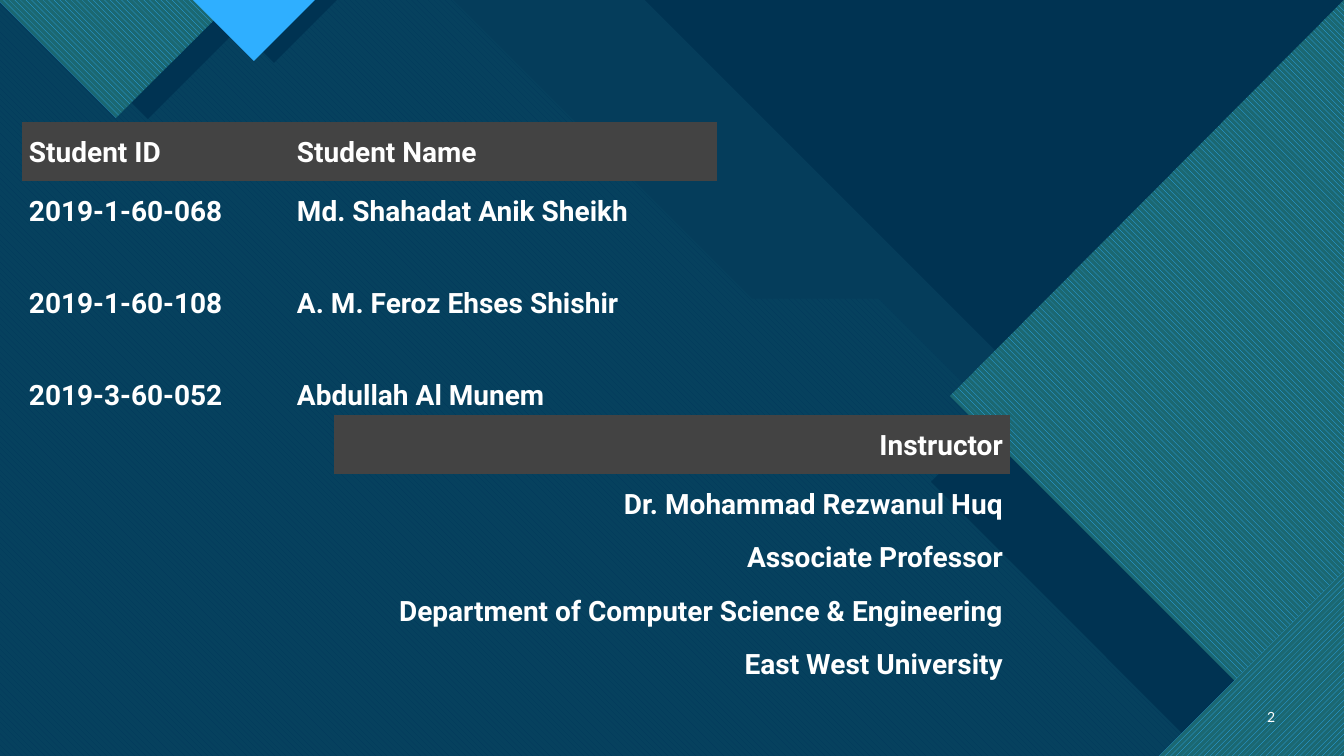
import pptx
import pptx.util
import pptx.dml.color
import pptx.enum.dml
import pptx.enum.text
import pptx.oxml.ns
import lxml.etree

W, H = 1344, 756
EMU_PER_PX = 914400 / 100.8
NAVY, DEEP, TEAL, AQUA, SKY, GRAY, WHITE = (
    "0C4360", "003352", "1B6872", "47C3D3", "2FAFFF", "434343", "FFFFFF")
DOWN = pptx.enum.dml.MSO_PATTERN.WIDE_DOWNWARD_DIAGONAL
UP = pptx.enum.dml.MSO_PATTERN.WIDE_UPWARD_DIAGONAL
LEFT = pptx.enum.text.PP_ALIGN.LEFT
RIGHT = pptx.enum.text.PP_ALIGN.RIGHT
PLAIN_TABLE = "{2D5ABB26-0587-4C30-8999-92F81FD0307C}"
STUDENTS = [
    ["Student ID", "Student Name"],
    ["2019-1-60-068", "Md. Shahadat Anik Sheikh"],
    ["2019-1-60-108", "A. M. Feroz Ehses Shishir"],
    ["2019-3-60-052", "Abdullah Al Munem"],
]
INSTRUCTOR = [
    "Dr. Mohammad Rezwanul Huq",
    "Associate Professor",
    "Department of Computer Science & Engineering",
    "East West University",
]


def px(n):
    return pptx.util.Emu(round(n * EMU_PER_PX))


def rgb(color):
    return pptx.dml.color.RGBColor.from_string(color)


def add_text(p, text, size=20, font="Roboto", color=WHITE, bold=True,
             align=LEFT, spacing=None, before=None):
    p.alignment = align
    p.line_spacing = spacing
    if before is not None:
        p.space_before = pptx.util.Pt(before)
    r = p.add_run()
    r.text = text
    r.font.size = pptx.util.Pt(size)
    r.font.name = font
    r.font.bold = bold
    r.font.color.rgb = rgb(color)


def polygon(s, points, color, back=None, pattern=None, alpha=None):
    builder = s.shapes.build_freeform(*points[0], scale=EMU_PER_PX)
    builder.add_line_segments(points[1:], close=True)
    sp = builder.convert_to_shape()
    sp.shadow.inherit = False
    sp.line.fill.background()
    if pattern is not None:
        sp.fill.patterned()
        sp.fill.pattern = pattern
        sp.fill.fore_color.rgb = rgb(color)
        sp.fill.back_color.rgb = rgb(back)
        return
    sp.fill.solid()
    sp.fill.fore_color.rgb = rgb(color)
    if alpha is not None:
        clr = sp.fill._xPr.find(".//" + pptx.oxml.ns.qn("a:srgbClr"))
        lxml.etree.SubElement(clr, pptx.oxml.ns.qn("a:alpha"), val=str(alpha * 1000))


def ridge(s, top, shelf, right, color, **fill):
    drop = 299
    knee = top + drop + shelf
    polygon(s, [(0, 0), (top, 0), (top + drop, drop), (knee, drop),
                (right, drop + right - knee), (right, H), (0, H)], color, **fill)


def pennant(s, left, depth, color, **fill):
    polygon(s, [(left, 0), (left + depth, depth), (left + 2 * depth, 0)], color, **fill)


def backdrop(s):
    s.background.fill.solid()
    s.background.fill.fore_color.rgb = rgb(NAVY)
    ridge(s, 833, 113, W, AQUA, alpha=74)
    ridge(s, 453, 127, 1336, "0065A4", back=AQUA, pattern=DOWN)
    polygon(s, [(645, 0), (W, 0), (W, 699)], DEEP)
    ridge(s, 701, 127, W, DEEP, alpha=90)


def right_diamond(s):
    polygon(s, [(W, 69), (W, H), (1205, H), (931, 482)], DEEP)
    polygon(s, [(W, 0), (W, H), (1310, H), (950, 396)], SKY, back=TEAL, pattern=DOWN)
    polygon(s, [(W, 571), (W, H), (1159, H)], SKY, back=TEAL, pattern=UP)


def top_pennants(s):
    pennant(s, 29, 119, DEEP)
    pennant(s, -2, 118, SKY, back=TEAL, pattern=DOWN)
    pennant(s, 211, 63, DEEP)
    pennant(s, 193, 61, SKY)


def plain_table(s, x, y, cols, rows):
    frame = s.shapes.add_table(len(rows), len(cols), px(x), px(y),
                               px(sum(cols)), px(sum(rows)))
    table = frame.table
    table.first_row = table.horz_banding = False
    table._tbl.tblPr.find(pptx.oxml.ns.qn("a:tableStyleId")).text = PLAIN_TABLE
    for column, width in zip(table.columns, cols):
        column.width = px(width)
    for row, height in zip(table.rows, rows):
        row.height = px(height)
    for i, row in enumerate(table.rows):
        for cell in row.cells:
            cell.margin_left = cell.margin_right = px(7)
            cell.margin_top = cell.margin_bottom = px(10)
            if i == 0:
                cell.fill.solid()
                cell.fill.fore_color.rgb = rgb(GRAY)
            else:
                cell.fill.background()
    return table


def fill_cell(cell, lines, align=LEFT):
    tf = cell.text_frame
    for i, line in enumerate(lines):
        p = tf.add_paragraph() if i else tf.paragraphs[0]
        add_text(p, line, align=align, spacing=1.15, before=11)


def student_table(s, x, y):
    table = plain_table(s, x, y, [268, 427], [58, 92, 92, 89])
    for i, student in enumerate(STUDENTS):
        for j, text in enumerate(student):
            fill_cell(table.cell(i, j), [text])


def instructor_table(s, x, y):
    table = plain_table(s, x, y, [338, 338], [57, 218])
    for i, lines in enumerate([["Instructor"], INSTRUCTOR]):
        table.cell(i, 0).merge(table.cell(i, 1))
        fill_cell(table.cell(i, 0), lines, RIGHT)


def slide_number(s, x, y, w, h):
    tf = s.shapes.add_textbox(px(x), px(y), px(w), px(h)).text_frame
    tf.word_wrap = True
    tf.vertical_anchor = pptx.enum.text.MSO_ANCHOR.MIDDLE
    add_text(tf.paragraphs[0], "2", size=10, font="Lato", bold=False, align=RIGHT)


def main():
    prs = pptx.Presentation()
    prs.slide_width, prs.slide_height = px(W), px(H)
    s = prs.slides.add_slide(prs.slide_layouts[6])
    backdrop(s)
    right_diamond(s)
    top_pennants(s)
    slide_number(s, 1241, 697, 44, 40)
    student_table(s, 22, 122)
    instructor_table(s, 334, 415)
    prs.save("out.pptx")


if __name__ == "__main__":
    main()
